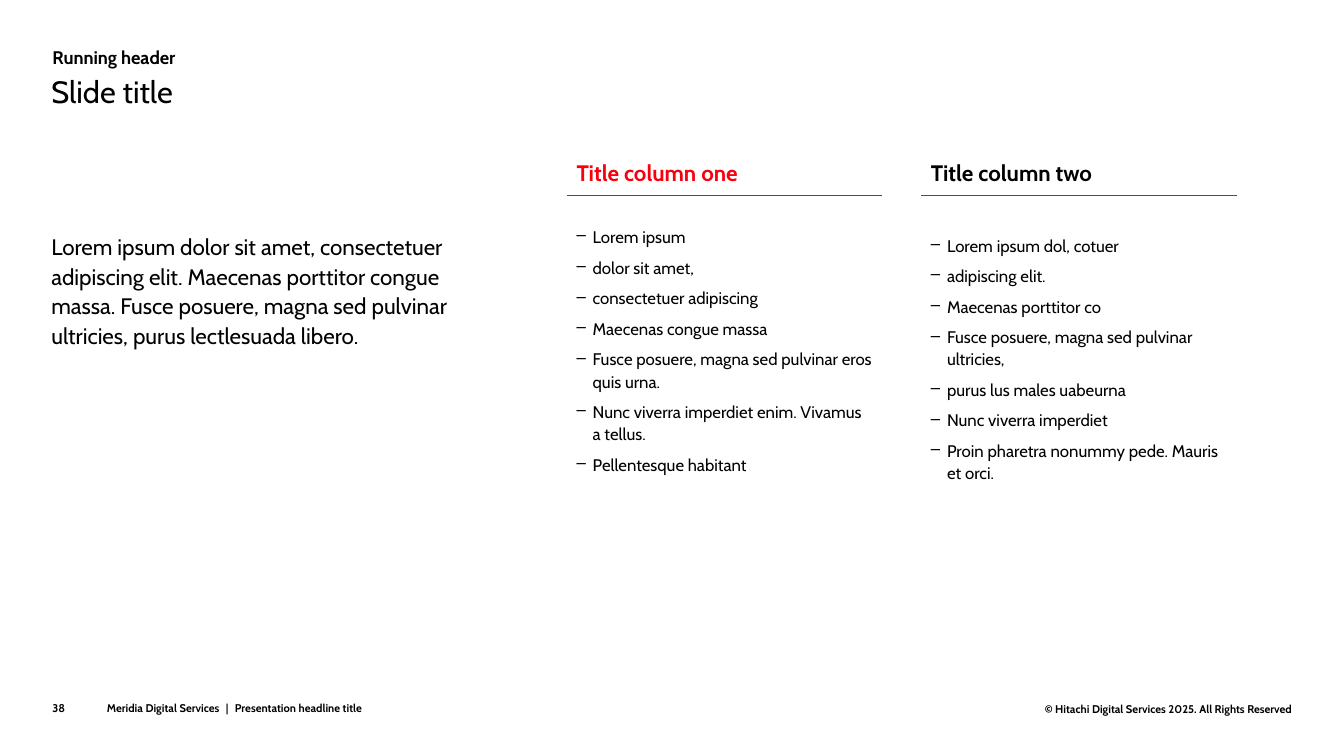
from dataclasses import dataclass

from lxml.etree import SubElement
from pptx import Presentation
from pptx.dml.color import RGBColor
from pptx.enum.shapes import MSO_CONNECTOR
from pptx.enum.text import MSO_ANCHOR, PP_ALIGN
from pptx.oxml.ns import qn
from pptx.util import Inches, Pt


@dataclass(frozen=True)
class Theme:
    font: str = "Cabin"
    ink: RGBColor = RGBColor(0x00, 0x00, 0x00)
    accent: RGBColor = RGBColor(0xFA, 0x00, 0x0F)
    rule: RGBColor = RGBColor(0x4D, 0x4D, 0x4D)
    footer: int = 8
    list_item: int = 12
    header: int = 13
    lead: int = 16
    title: int = 22


THEME = Theme()
WIDTH, HEIGHT = Inches(13.33), Inches(7.5)
INDENT = Inches(0.16)

# Shares of the slide, in percent
COLUMN_LEFT, COLUMN_PITCH, COLUMN_WIDTH = 42.16, 26.37, 23.48
COLUMN_TOP, COLUMN_HEIGHT, RULE_TOP = 20, 66.8, 25.87

# Heading, its colour, space above the first item in points, items
COLUMNS = [
    ("Title column one", THEME.accent, 22, [
        "Lorem ipsum",
        "dolor sit amet,",
        "consectetuer adipiscing",
        "Maecenas congue massa",
        "Fusce posuere, magna sed pulvinar eros quis urna.",
        "Nunc viverra imperdiet enim. Vivamus a tellus.",
        "Pellentesque habitant",
    ]),
    ("Title column two", THEME.ink, 28, [
        "Lorem ipsum dol, cotuer",
        "adipiscing elit.",
        "Maecenas porttitor co",
        "Fusce posuere, magna sed pulvinar ultricies,",
        "purus lus males uabeurna",
        "Nunc viverra imperdiet",
        "Proin pharetra nonummy pede. Mauris et orci.",
    ]),
]
INTRO = ("Lorem ipsum dolor sit amet, consectetuer adipiscing elit. "
         "Maecenas porttitor congue massa. Fusce posuere, magna sed pulvinar "
         "ultricies, purus lectlesuada libero.")


def across(share):
    return round(WIDTH * share / 100)


def down(share):
    return round(HEIGHT * share / 100)


def add_box(page, left, top, width, height, inset=True):
    box = page.shapes.add_textbox(across(left), down(top), across(width), down(height))
    frame = box.text_frame
    frame.word_wrap = True
    if not inset:
        frame.margin_left = frame.margin_right = 0
        frame.margin_top = frame.margin_bottom = 0
    return frame


def write(para, text, size, color=THEME.ink, bold=False, spacing=1.1):
    para.line_spacing = spacing
    span = para.add_run()
    span.text = text
    span.font.name = THEME.font
    span.font.size = Pt(size)
    span.font.bold = bold
    span.font.color.rgb = color


def add_dash(para):
    properties = para._p.get_or_add_pPr()
    properties.set("marL", str(INDENT))
    properties.set("indent", str(-INDENT))
    SubElement(properties, qn("a:buChar")).set("char", "–")


def add_tab_stops(para, *stops):
    tabs = SubElement(para._p.get_or_add_pPr(), qn("a:tabLst"))
    for stop in stops:
        SubElement(tabs, qn("a:tab"), pos=str(Inches(stop)), algn="l")


def add_rule(page, left):
    line = page.shapes.add_connector(
        MSO_CONNECTOR.STRAIGHT, across(left), down(RULE_TOP),
        across(left + COLUMN_WIDTH), down(RULE_TOP))
    line.line.color.rgb = THEME.rule
    line.line.width = Pt(1)
    SubElement(line._element.spPr, qn("a:effectLst"))


def add_column(page, left, heading, color, gap, items):
    frame = add_box(page, left, COLUMN_TOP, COLUMN_WIDTH, COLUMN_HEIGHT)
    write(frame.paragraphs[0], heading, THEME.lead, color, bold=True)
    for index, item in enumerate(items):
        para = frame.add_paragraph()
        add_dash(para)
        para.space_before = Pt(6 if index else gap + 6)
        write(para, item, THEME.list_item)
    add_rule(page, left)


def add_headings(page):
    header = add_box(page, 3.9, 5.87, 37.66, 3.07, inset=False)
    write(header.paragraphs[0], "Running header", THEME.header, bold=True)
    title = add_box(page, 3.83, 10.13, 22.13, 4.4, inset=False)
    write(title.paragraphs[0], "Slide title", THEME.title, spacing=0.9)


def add_footer(page):
    number = add_box(page, 3.9, 92.4, 3.53, 2.13, inset=False)
    label = add_box(page, 7.95, 92.4, 29.86, 2.13, inset=False)
    rights = add_box(page, 72.39, 92.93, 23.78, 1.87, inset=False)
    number.vertical_anchor = label.vertical_anchor = MSO_ANCHOR.BOTTOM
    rights.paragraphs[0].alignment = PP_ALIGN.RIGHT
    add_tab_stops(label.paragraphs[0], 1.18, 1.27)
    for frame, text in [
        (number, "38"),
        (label, "Meridia Digital Services\t|\tPresentation headline title"),
        (rights, "© Hitachi Digital Services 2025. All Rights Reserved"),
    ]:
        write(frame.paragraphs[0], text, THEME.footer, bold=True, spacing=1.0)


def main():
    deck = Presentation()
    deck.slide_width, deck.slide_height = WIDTH, HEIGHT
    page = deck.slides.add_slide(deck.slide_layouts[6])
    add_footer(page)
    add_headings(page)
    intro = add_box(page, 3.08, 29.87, 35.03, 56.67)
    write(intro.paragraphs[0], INTRO, THEME.lead)
    for index, column in enumerate(COLUMNS):
        add_column(page, COLUMN_LEFT + index * COLUMN_PITCH, *column)
    deck.save("out.pptx")


if __name__ == "__main__":
    main()
